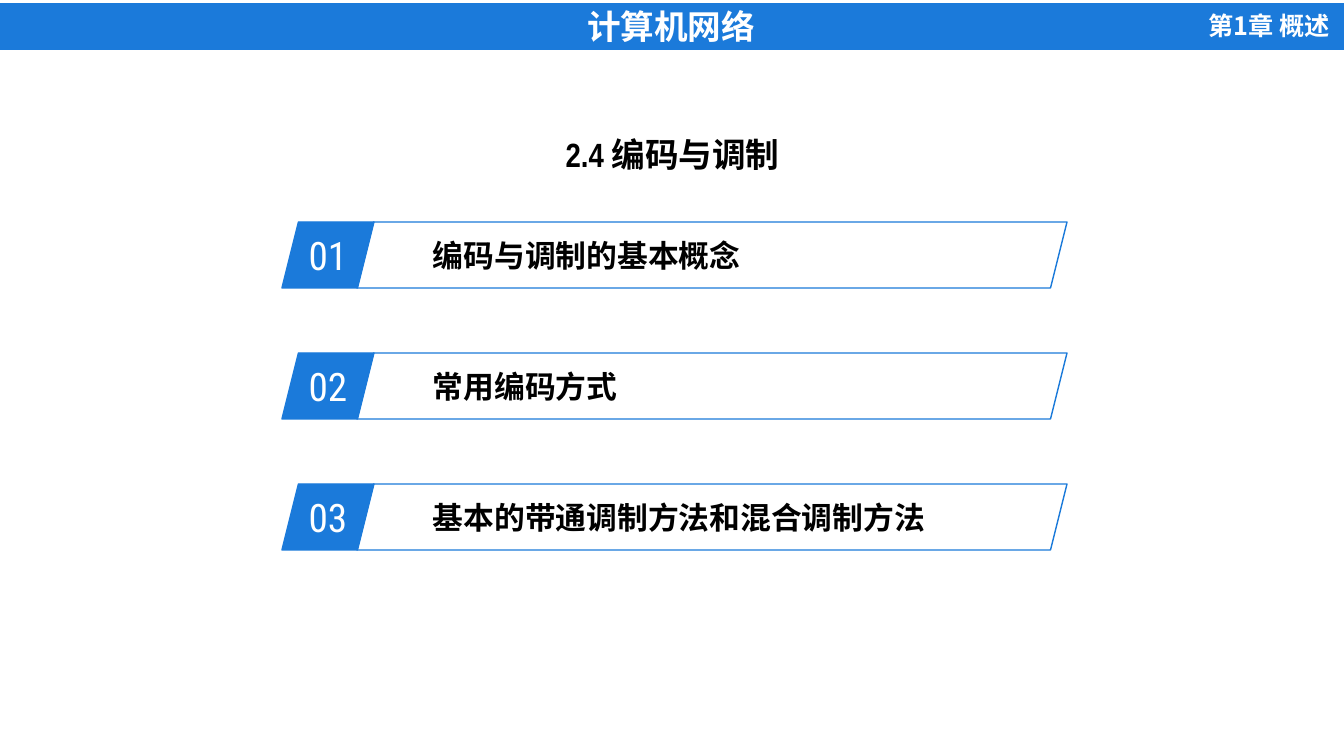
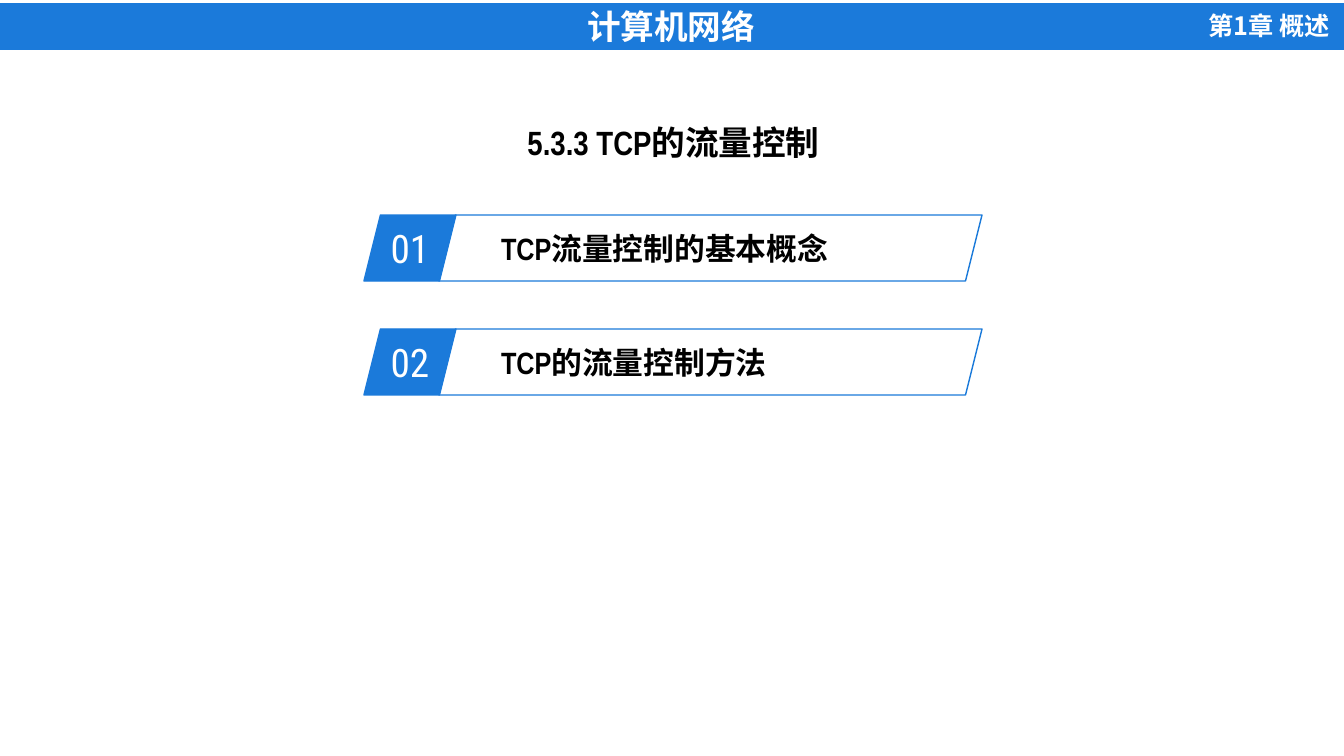
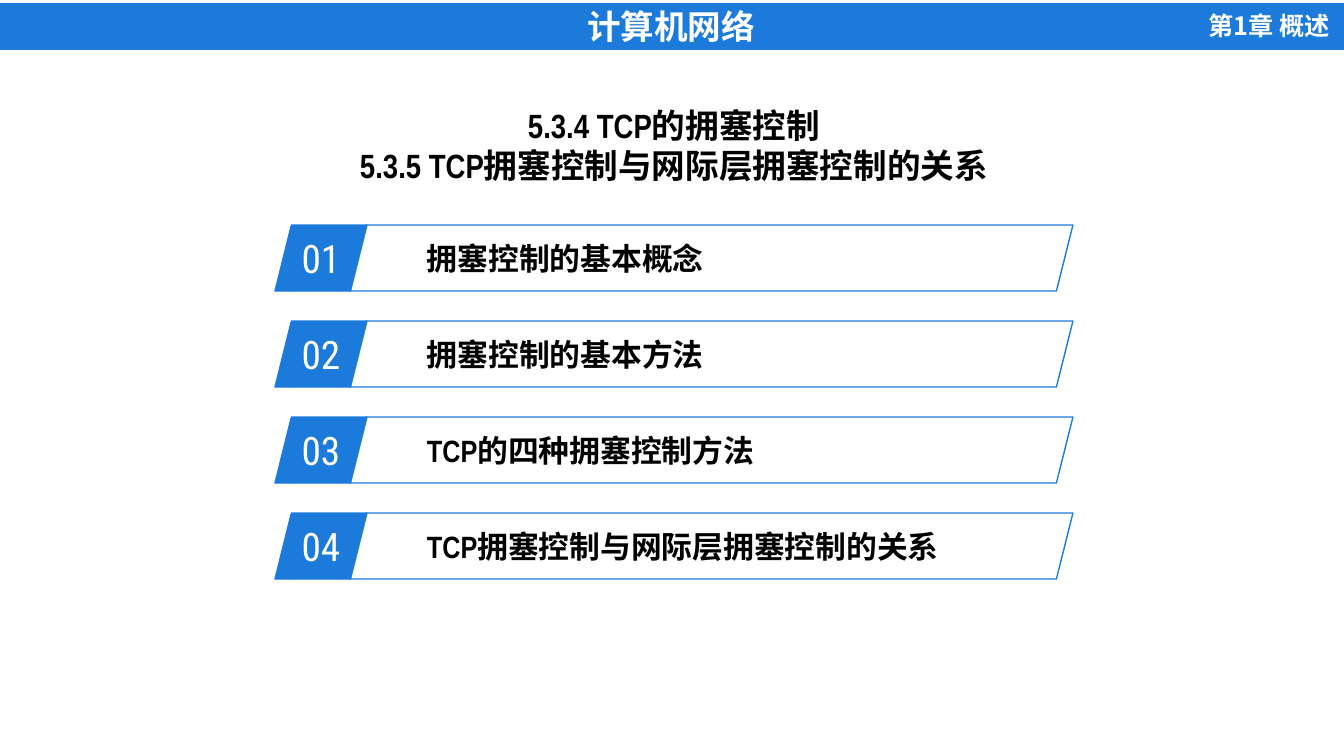
from lxml import etree
from pptx import Presentation
from pptx.dml.color import RGBColor
from pptx.enum.shapes import MSO_SHAPE
from pptx.enum.text import MSO_ANCHOR, MSO_AUTO_SIZE, PP_ALIGN
from pptx.oxml.ns import qn
from pptx.util import Pt

RECT, SLANT = MSO_SHAPE.RECTANGLE, MSO_SHAPE.PARALLELOGRAM
LEFT, MID, RIGHT = PP_ALIGN.LEFT, PP_ALIGN.CENTER, PP_ALIGN.RIGHT
TOP, CENTER = MSO_ANCHOR.TOP, MSO_ANCHOR.MIDDLE
FIXED = MSO_AUTO_SIZE.NONE

# Content
COURSE, CHAPTER = "计算机网络", "第1章 概述"
NARROW, ROBOTO, NOTO = "Arial Narrow", "Roboto Condensed", "Noto Sans CJK SC"
SLIDES = [
    {"title": ["2.4 编码与调制"], "box": (436, 131, 473, 46),
     "left": 282, "top": 222, "step": 131, "width": 710, "face": ROBOTO,
     "items": ["编码与调制的基本概念", "常用编码方式",
               "基本的带通调制方法和混合调制方法"]},
    {"title": ["5.3.3 TCP的流量控制"], "box": (437, 119, 473, 46),
     "left": 364, "top": 215, "step": 114, "width": 543, "face": NARROW,
     "items": ["TCP流量控制的基本概念", "TCP的流量控制方法"]},
    {"title": ["5.3.4 TCP的拥塞控制", "5.3.5 TCP拥塞控制与网际层拥塞控制的关系"],
     "box": (325, 82, 698, 106),
     "left": 275, "top": 225, "step": 96, "width": 723, "face": NARROW,
     "items": ["拥塞控制的基本概念", "拥塞控制的基本方法",
               "TCP的四种拥塞控制方法", "TCP拥塞控制与网际层拥塞控制的关系"]},
]

# Shared look
BLUE, WHITE, BLACK = "1B7ADA", "FFFFFF", "000000"
SCALE = 914400 / 100.8
TAB, SHIFT, HIGH = 92, 75, 66
HEAD = {"name": NARROW, "size": Pt(24), "bold": True}
NOTE = {"name": NOTO, "size": Pt(18), "bold": True}
NUM = {"name": ROBOTO, "size": Pt(28), "bold": False}
ITEM = {"size": Pt(22), "bold": True}


def px(num):
    return round(num * SCALE)


def rgb(code):
    return RGBColor.from_string(code)


def write(shape, lines, look, ink, align=MID, anchor=CENTER):
    frame = shape.text_frame
    for key, val in {"word_wrap": True, "auto_size": FIXED,
                     "vertical_anchor": anchor}.items():
        setattr(frame, key, val)
    frame.text = "\n".join(lines)
    for para in frame.paragraphs:
        para.alignment = align
        for run in para.runs:
            for key, val in look.items():
                setattr(run.font, key, val)
            run.font.color.rgb = rgb(ink)
            # East Asian letters take the same face
            props = run.font._element if hasattr(run.font, "_element") else run._r.get_or_add_rPr()
            props.set("lang", "zh-CN")
            etree.SubElement(props, qn("a:ea")).set("typeface", look["name"])


def draw(slide, kind, box, fill=None):
    shape = slide.shapes.add_shape(kind, *map(px, box))
    shape.shadow.inherit = False
    if fill:
        shape.fill.solid()
        shape.fill.fore_color.rgb = rgb(fill)
    else:
        shape.fill.background()
    shape.line.color.rgb = rgb(BLUE)
    shape.line.width = Pt(1)
    return shape


def brand(layout, slide):
    """Move the header band and chapter label to the shared layout."""
    for hold in list(layout.placeholders)[1:]:
        hold.element.getparent().remove(hold.element)
    band = draw(slide, RECT, (-2, 4, 1346, 45), BLUE)
    write(band, [COURSE], HEAD, WHITE)
    note = slide.shapes.add_textbox(*map(px, (1120, 5, 220, 40)))
    write(note, [CHAPTER], NOTE, WHITE, RIGHT, TOP)
    for part in (band, note):
        layout.shapes.element.append(part.element)


def build(slide, data):
    # Title
    title = slide.shapes.title
    title.left, title.top, title.width, title.height = map(px, data["box"])
    write(title, data["title"], HEAD, BLACK)
    if len(data["title"]) > 1:
        title.text_frame.paragraphs[0].line_spacing = 1.5
    # Numbered rows
    left = data["left"]
    for i, text in enumerate(data["items"]):
        top = data["top"] + i * data["step"]
        tab = draw(slide, SLANT, (left, top, TAB, HIGH), BLUE)
        write(tab, [f"{i + 1:02}"], NUM, WHITE)
        bar = draw(slide, SLANT, (left + SHIFT, top, data["width"], HIGH))
        write(bar, [text], {**ITEM, "name": data["face"]}, BLACK, LEFT)


def main():
    deck = Presentation()
    deck.slide_width, deck.slide_height = px(1344), px(756)
    layout = deck.slide_layouts[5]
    for i, data in enumerate(SLIDES):
        slide = deck.slides.add_slide(layout)
        if i == 0:
            brand(layout, slide)
        build(slide, data)
    deck.save("out.pptx")


if __name__ == "__main__":
    main()
